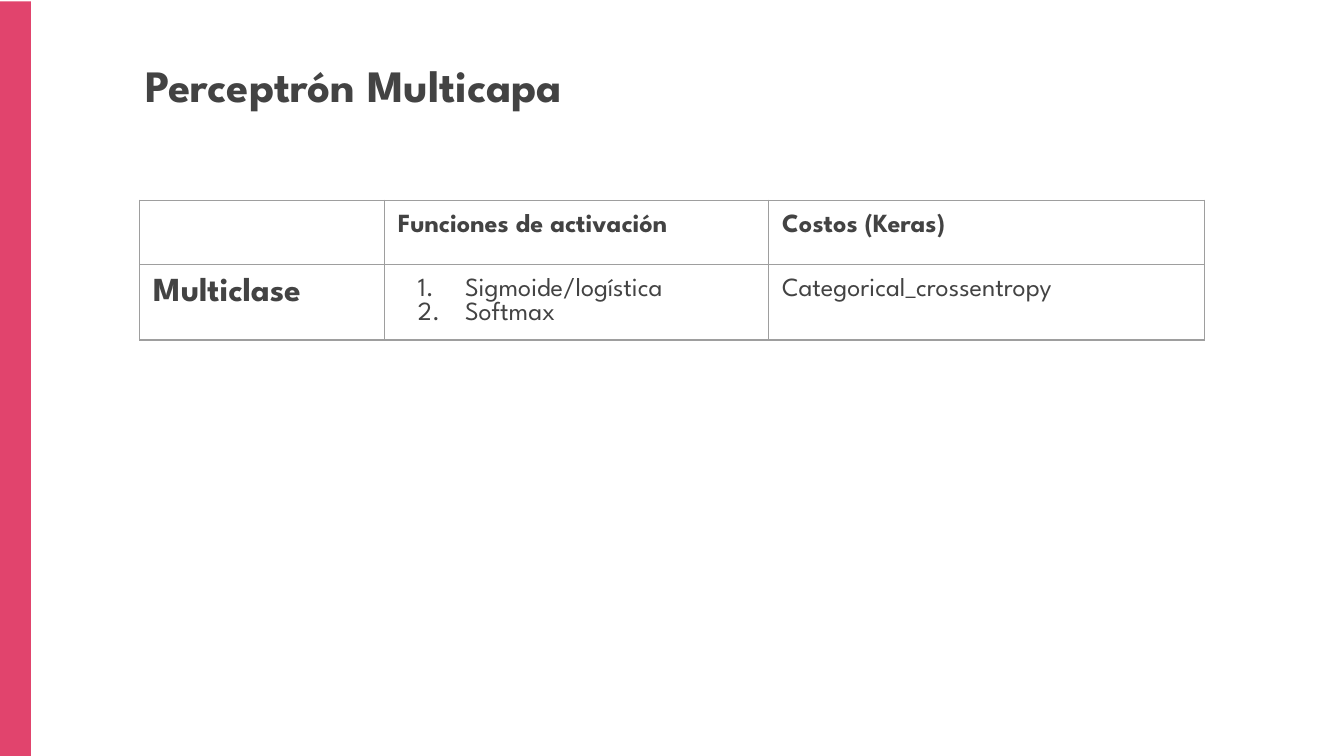
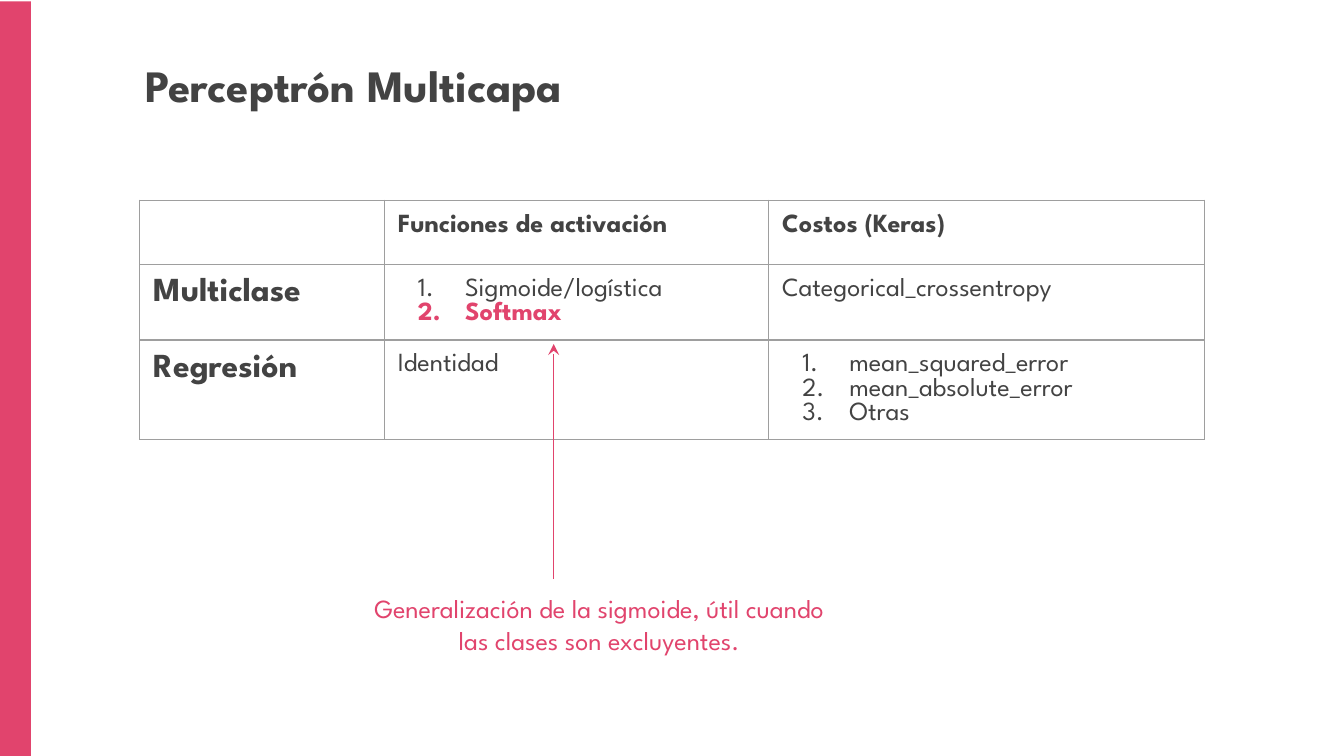
from lxml import etree
from pptx import Presentation
from pptx.dml.color import RGBColor
from pptx.enum.shapes import MSO_CONNECTOR, MSO_SHAPE
from pptx.enum.text import MSO_ANCHOR, MSO_AUTO_SIZE, PP_ALIGN
from pptx.oxml.ns import qn
from pptx.util import Inches, Pt

FONT = "League Spartan"
PINK, INK, GRID = "E1446D", "434343", "9E9E9E"
WIDTH = 10
HEIGHT = WIDTH * 9 / 16
PAD = 0.1
COLUMNS = [1.82, 2.86, 3.24]
HEADER = ["", "Funciones de activación", "Costos (Keras)"]
MULTICLASS = ["Multiclase", ["Sigmoide/logística", "Softmax"], "Categorical_crossentropy"]
REGRESSION = ["Regresión", "Identidad", ["mean_squared_error", "mean_absolute_error", "Otras"]]


def rgb(color):
    return RGBColor.from_string(color)


def add_xml(parent, tag, **attrs):
    return etree.SubElement(parent, qn(tag), attrs)


def style(p, size, color=INK, bold=False):
    p.font.name = FONT
    p.font.size = Pt(size)
    p.font.bold = bold
    p.font.color.rgb = rgb(color)


def set_frame(tf):
    tf.word_wrap = True
    tf.auto_size = MSO_AUTO_SIZE.NONE
    tf.vertical_anchor = MSO_ANCHOR.TOP
    tf.margin_left = tf.margin_right = tf.margin_top = tf.margin_bottom = Inches(PAD)


def place(sp, box):
    sp.left, sp.top, sp.width, sp.height = map(Inches, box)


def add_band(s, layout):
    sp = s.shapes.add_shape(MSO_SHAPE.RECTANGLE, 0, Inches(0.01), Inches(0.23), Inches(HEIGHT))
    sp.shadow.inherit = False
    sp.fill.solid()
    sp.fill.fore_color.rgb = rgb(PINK)
    sp.line.fill.background()
    layout.shapes.element.append(sp.element)


def add_title(s, text, box):
    sp = s.shapes.title
    place(sp, box)
    tf = sp.text_frame
    set_frame(tf)
    tf.text = text
    p = tf.paragraphs[0]
    p.alignment = PP_ALIGN.LEFT
    style(p, 24, bold=True)


def add_number(p, color):
    pPr = p._p.get_or_add_pPr()
    pPr.set("marL", str(Inches(0.5)))
    pPr.set("indent", str(Inches(-0.35)))
    add_xml(add_xml(pPr, "a:buClr"), "a:srgbClr", val=color)
    add_xml(pPr, "a:buAutoNum", type="arabicPeriod")


def set_borders(cell):
    cell.fill.background()
    tcPr = cell._tc.get_or_add_tcPr()
    for i, side in enumerate(("a:lnL", "a:lnR", "a:lnT", "a:lnB")):
        ln = add_xml(tcPr, side, w=str(Pt(0.75)))
        add_xml(add_xml(ln, "a:solidFill"), "a:srgbClr", val=GRID)
        tcPr.insert(i, ln)


def fill_cell(cell, content, size, bold, highlight):
    cell.margin_left = cell.margin_right = cell.margin_top = cell.margin_bottom = Inches(PAD)
    set_borders(cell)
    numbered = isinstance(content, list)
    items = content if numbered else [content]
    tf = cell.text_frame
    tf.text = "\n".join(items)
    for p, item in zip(tf.paragraphs, items):
        marked = item == highlight
        color = PINK if marked else INK
        if numbered:
            add_number(p, color)
        style(p, size, color, bold or marked)
        if not item:
            add_xml(p._p, "a:endParaRPr", sz=str(size * 100))


def add_grid(s, rows, heights, left, top, highlight=None):
    table = s.shapes.add_table(len(rows), len(COLUMNS), Inches(left), Inches(top),
                               Inches(sum(COLUMNS)), Inches(sum(heights))).table
    table.first_row = table.horz_banding = False
    for column, width in zip(table.columns, COLUMNS):
        column.width = Inches(width)
    for r, (row, height) in enumerate(zip(rows, heights)):
        table.rows[r].height = Inches(height)
        for c, content in enumerate(row):
            row_label = c == 0 and r > 0
            fill_cell(table.cell(r, c), content, 18 if row_label else 14,
                      row_label or r == 0, highlight)


def add_note(s, text, box, arrow_x, arrow_length):
    tf = s.shapes.add_textbox(*map(Inches, box)).text_frame
    set_frame(tf)
    tf.text = text
    p = tf.paragraphs[0]
    p.alignment = PP_ALIGN.CENTER
    style(p, 14, PINK)
    left, top = box[:2]
    x = Inches(left + arrow_x)
    arrow = s.shapes.add_connector(MSO_CONNECTOR.STRAIGHT, x, Inches(top),
                                   x, Inches(top - arrow_length))
    arrow.line.color.rgb = rgb(PINK)
    arrow.line.width = Pt(0.75)
    add_xml(arrow.line._get_or_add_ln(), "a:tailEnd", type="stealth")
    add_xml(arrow._element.spPr, "a:effectLst")


def add_perceptron_slide(prs, layout, rows, heights, highlight=None):
    s = prs.slides.add_slide(layout)
    add_grid(s, rows, heights, 1.04, 1.49, highlight)
    add_title(s, "Perceptrón Multicapa", (0.98, 0.33, 8.62, 0.64))
    return s


def main():
    prs = Presentation()
    prs.slide_width, prs.slide_height = Inches(WIDTH), Inches(HEIGHT)
    layout = prs.slide_layouts[5]
    s = add_perceptron_slide(prs, layout, [HEADER, MULTICLASS], [0.48, 0.56])
    add_band(s, layout)
    s = add_perceptron_slide(prs, layout, [HEADER, MULTICLASS, REGRESSION],
                             [0.48, 0.56, 0.74], "Softmax")
    add_note(s, "Generalización de la sigmoide, útil cuando las clases son excluyentes.",
             (2.68, 4.31, 3.56, 0.68), 1.44, 1.75)
    prs.save("out.pptx")


if __name__ == "__main__":
    main()
